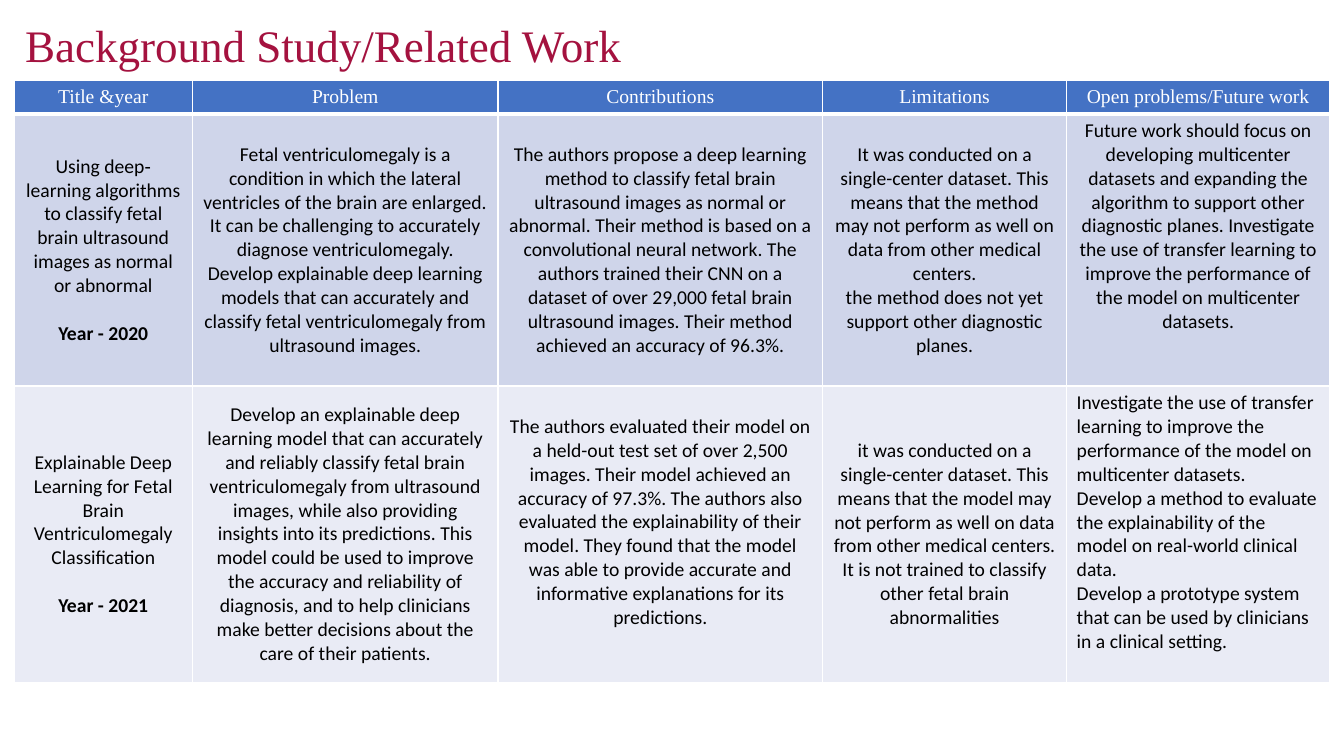
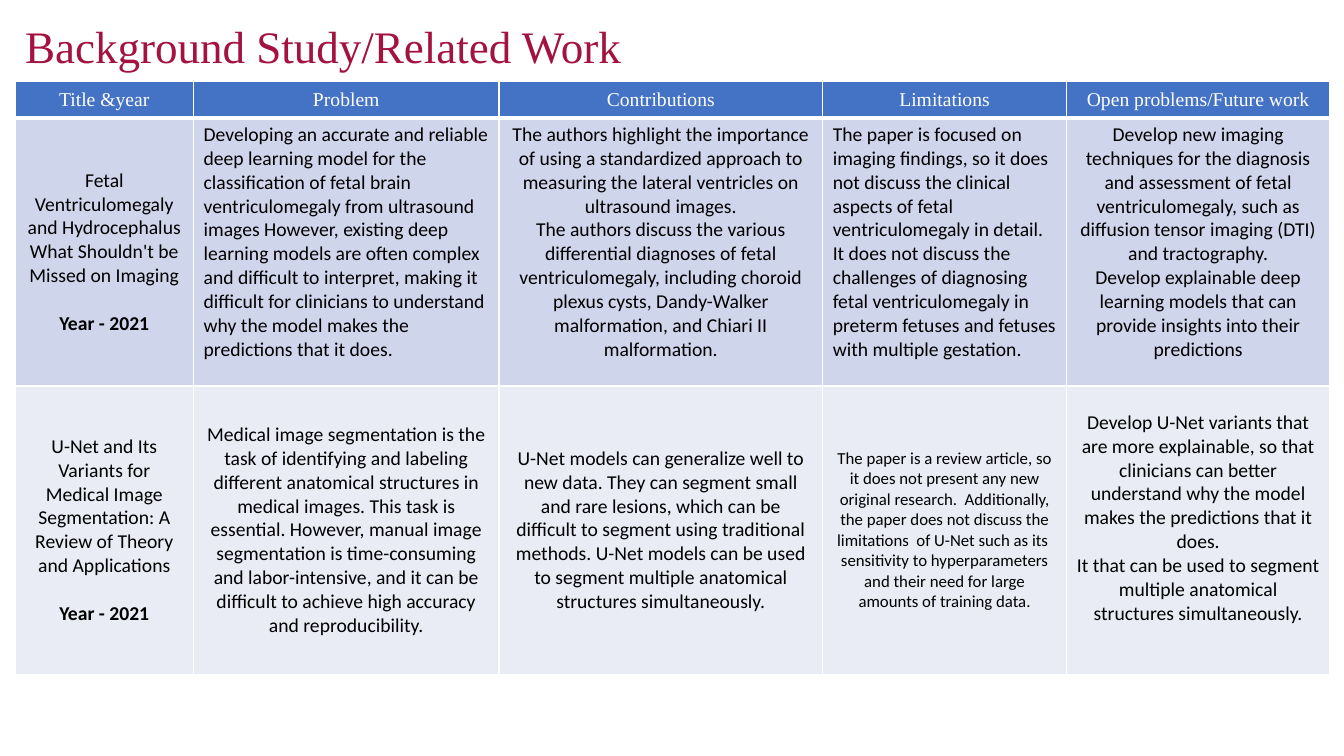
import dataclasses

import lxml.etree
import pptx
import pptx.dml.color
import pptx.enum.text
import pptx.oxml.ns
import pptx.presentation
import pptx.slide
import pptx.table
import pptx.util

Inches = pptx.util.Inches
Pt = pptx.util.Pt
RGB = pptx.dml.color.RGBColor
Align = pptx.enum.text.PP_ALIGN
Anchor = pptx.enum.text.MSO_ANCHOR

RED = RGB(0xA4, 0x12, 0x3F)
BLUE = RGB(0x44, 0x72, 0xC4)
WHITE = RGB(0xFF, 0xFF, 0xFF)
BLACK = RGB(0x00, 0x00, 0x00)
BANDS = (RGB(0xCF, 0xD5, 0xEA), RGB(0xE9, 0xEB, 0xF5))
SERIF = "Times New Roman"
SANS = "Calibri"
TITLE = "Background Study/Related Work"
HEADS = (
    "Title &year",
    "Problem",
    "Contributions",
    "Limitations",
    "Open problems/Future work",
)
LINE = 17


@dataclasses.dataclass(frozen=True)
class Entry:
    text: str
    year: str = ""
    top: bool = False
    left: bool = False
    size: int = 14
    base: float = 0.05


@dataclasses.dataclass(frozen=True)
class Page:
    left: float
    top: float
    title_top: float
    cols: tuple[float, ...]
    rows: tuple[float, ...]
    studies: tuple[tuple[Entry, ...], ...]


PAGES = (
    Page(
        0.14, 0.8, 0.12,
        (1.77, 3.03, 3.22, 2.42, 2.61),
        (0.33, 2.7, 2.94),
        (
            (
                Entry("Using deep‐learning algorithms to classify fetal brain "
                      "ultrasound images as normal or abnormal", "Year - 2020"),
                Entry("Fetal ventriculomegaly is a condition in which the lateral "
                      "ventricles of the brain are enlarged.\n"
                      "It can be challenging to accurately diagnose ventriculomegaly.\n"
                      "Develop explainable deep learning models that can accurately "
                      "and classify fetal ventriculomegaly from ultrasound images."),
                Entry("The authors propose a deep learning method to classify fetal "
                      "brain ultrasound images as normal or abnormal. Their method is "
                      "based on a convolutional neural network. The authors trained "
                      "their CNN on a dataset of over 29,000 fetal brain ultrasound "
                      "images. Their method achieved an accuracy of 96.3%."),
                Entry("It was conducted on a single-center dataset. This means that "
                      "the method may not perform as well on data from other medical "
                      "centers.\n"
                      "the method does not yet support other diagnostic planes."),
                Entry("Future work should focus on developing multicenter datasets "
                      "and expanding the algorithm to support other diagnostic planes. "
                      "Investigate the use of transfer learning to improve the "
                      "performance of the model on multicenter datasets.", top=True),
            ),
            (
                Entry("Explainable Deep Learning for Fetal Brain Ventriculomegaly "
                      "Classification", "Year - 2021"),
                Entry("Develop an explainable deep learning model that can accurately "
                      "and reliably classify fetal brain ventriculomegaly from "
                      "ultrasound images, while also providing insights into its "
                      "predictions. This model could be used to improve the accuracy "
                      "and reliability of diagnosis, and to help clinicians make "
                      "better decisions about the care of their patients."),
                Entry("The authors evaluated their model on a held-out test set of "
                      "over 2,500 images. Their model achieved an accuracy of 97.3%. "
                      "The authors also evaluated the explainability of their model. "
                      "They found that the model was able to provide accurate and "
                      "informative explanations for its predictions.", base=0.29),
                Entry("it was conducted on a single-center dataset. This means that "
                      "the model may not perform as well on data from other medical "
                      "centers.\n"
                      "It is not trained to classify other fetal brain abnormalities"),
                Entry("Investigate the use of transfer learning to improve the "
                      "performance of the model on multicenter datasets.\n"
                      "Develop a method to evaluate the explainability of the model "
                      "on real-world clinical data.\n"
                      "Develop a prototype system that can be used by clinicians in a "
                      "clinical setting.", top=True, left=True),
            ),
        ),
    ),
    Page(
        0.15, 0.81, 0.13,
        (1.77, 3.03, 3.21, 2.42, 2.61),
        (0.36, 2.66, 2.86),
        (
            (
                Entry("Fetal Ventriculomegaly and Hydrocephalus What Shouldn't be "
                      "Missed on Imaging", "Year - 2021"),
                Entry("Developing an accurate and reliable deep learning model for "
                      "the classification of fetal brain ventriculomegaly from "
                      "ultrasound images However, existing deep learning models are "
                      "often complex and difficult to interpret, making it difficult "
                      "for clinicians to understand why the model makes the "
                      "predictions that it does.", top=True, left=True),
                Entry("The authors highlight the importance of using a standardized "
                      "approach to measuring the lateral ventricles on ultrasound "
                      "images.\n"
                      "The authors discuss the various differential diagnoses of "
                      "fetal ventriculomegaly, including choroid plexus cysts, "
                      "Dandy-Walker malformation, and Chiari II malformation.",
                      top=True),
                Entry("The paper is focused on imaging findings, so it does not "
                      "discuss the clinical aspects of fetal ventriculomegaly in "
                      "detail.\n"
                      "It does not discuss the challenges of diagnosing fetal "
                      "ventriculomegaly in preterm fetuses and fetuses with multiple "
                      "gestation.", top=True, left=True),
                Entry("Develop new imaging techniques for the diagnosis and "
                      "assessment of fetal ventriculomegaly, such as diffusion tensor "
                      "imaging (DTI) and tractography.\n"
                      "Develop explainable deep learning models that can provide "
                      "insights into their predictions", top=True),
            ),
            (
                Entry("U-Net and Its Variants for Medical Image Segmentation: A "
                      "Review of Theory and Applications", "Year - 2021"),
                Entry("Medical image segmentation is the task of identifying and "
                      "labeling different anatomical structures in medical images. "
                      "This task is essential. However, manual image segmentation is "
                      "time-consuming and labor-intensive, and it can be difficult to "
                      "achieve high accuracy and reproducibility."),
                Entry("U-Net models can generalize well to new data. They can segment "
                      "small and rare lesions, which can be difficult to segment "
                      "using traditional methods. U-Net models can be used to segment "
                      "multiple anatomical structures simultaneously."),
                Entry("The paper is a review article, so it does not present any new "
                      "original research.  Additionally, the paper does not discuss "
                      "the limitations  of U-Net such as its  sensitivity to "
                      "hyperparameters and their need for large amounts of training "
                      "data.", size=12),
                Entry("Develop U-Net variants that are more explainable, so that "
                      "clinicians can better understand why the model makes the "
                      "predictions that it does.\n"
                      "It that can be used to segment multiple anatomical structures "
                      "simultaneously.", base=0.29),
            ),
        ),
    ),
)


def style(par, font: str, size: float, color: RGB, bold: bool = False) -> None:
    for run in par.runs:
        run.font.name = font
        run.font.size = Pt(size)
        run.font.bold = bold
        run.font.color.rgb = color


def edge(cell: pptx.table._Cell, base: float) -> None:
    props = cell._tc.get_or_add_tcPr()
    qn = pptx.oxml.ns.qn
    for side, width in (("L", 1), ("R", 1), ("T", 1), ("B", base)):
        line = lxml.etree.SubElement(props, qn("a:ln" + side), w=str(Pt(width)))
        fill = lxml.etree.SubElement(line, qn("a:solidFill"))
        lxml.etree.SubElement(fill, qn("a:srgbClr"), val=str(WHITE))


def paint(cell: pptx.table._Cell, fill: RGB, base: float) -> None:
    edge(cell, base)
    cell.fill.solid()
    cell.fill.fore_color.rgb = fill


def write(cell: pptx.table._Cell, entry: Entry, font: str, color: RGB) -> None:
    frame = cell.text_frame
    frame.text = entry.text
    cell.vertical_anchor = Anchor.TOP if entry.top else Anchor.MIDDLE
    cell.margin_bottom = Inches(entry.base)
    for par in frame.paragraphs:
        style(par, font, entry.size, color)
    if entry.year:
        year = frame.add_paragraph()
        year.text = entry.year
        year.space_before = Pt(LINE)
        style(year, font, entry.size, color, True)
    for par in frame.paragraphs:
        par.alignment = Align.LEFT if entry.left else Align.CENTER


def add_title(slide: pptx.slide.Slide, top: float) -> None:
    box = slide.shapes.add_textbox(
        Inches(0.15), Inches(top), Inches(6.68), Inches(0.64))
    frame = box.text_frame
    frame.word_wrap = True
    frame.text = TITLE
    style(frame.paragraphs[0], SERIF, 32.2, RED)


def add_grid(slide: pptx.slide.Slide, page: Page) -> None:
    grid = slide.shapes.add_table(
        len(page.rows), len(page.cols), Inches(page.left), Inches(page.top),
        Inches(sum(page.cols)), Inches(sum(page.rows))).table
    grid.first_row = False
    grid.horz_banding = False
    for col, width in zip(grid.columns, page.cols):
        col.width = Inches(width)
    for row, height in zip(grid.rows, page.rows):
        row.height = Inches(height)
    for cell, head in zip(grid.rows[0].cells, HEADS):
        paint(cell, BLUE, 3)
        write(cell, Entry(head), SERIF, WHITE)
    for num, (study, band) in enumerate(zip(page.studies, BANDS), 1):
        for cell, entry in zip(grid.rows[num].cells, study):
            paint(cell, band, 1)
            write(cell, entry, SANS, BLACK)


def add_page(deck: pptx.presentation.Presentation, page: Page) -> None:
    slide = deck.slides.add_slide(deck.slide_layouts[6])
    add_grid(slide, page)
    add_title(slide, page.title_top)


def main() -> None:
    deck = pptx.Presentation()
    deck.slide_width = Inches(13.33)
    deck.slide_height = Inches(7.5)
    for page in PAGES:
        add_page(deck, page)
    deck.save("out.pptx")


if __name__ == "__main__":
    main()
